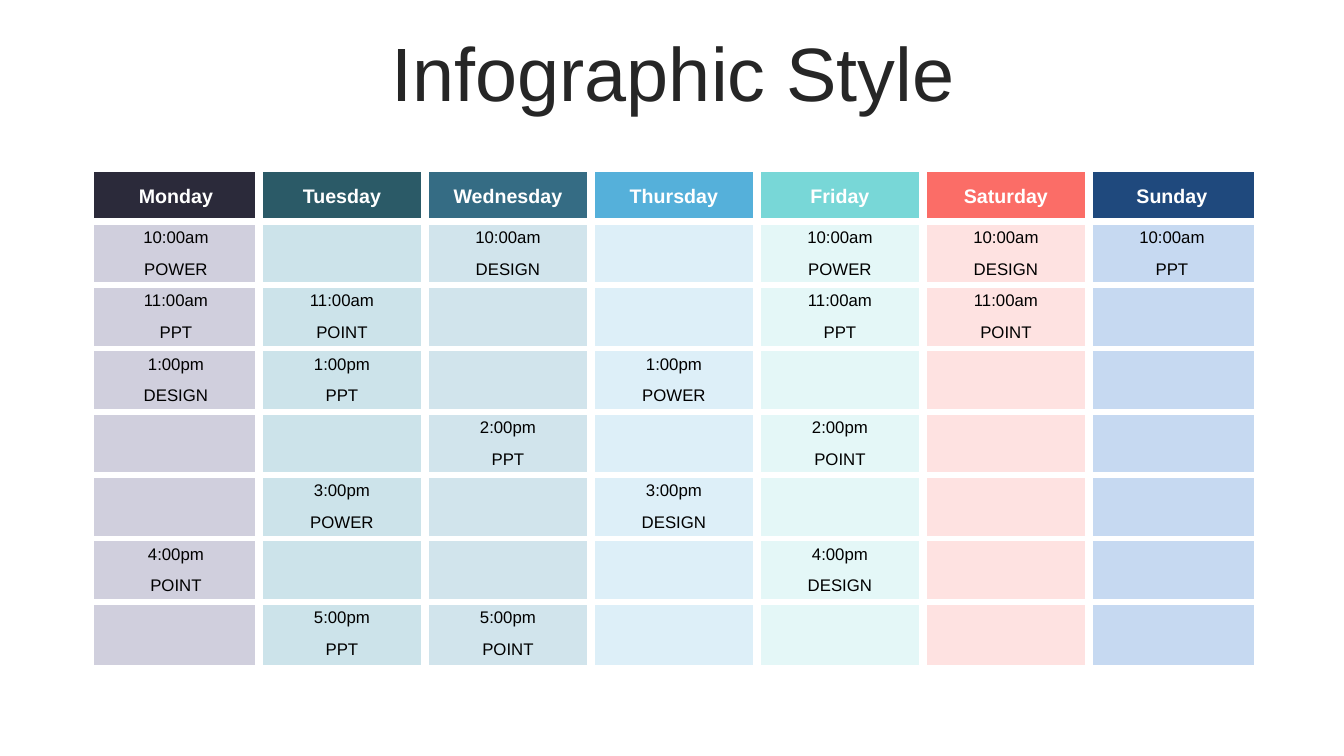
from lxml.etree import SubElement
from pptx import Presentation
from pptx.dml.color import RGBColor as RGB
from pptx.enum.text import MSO_ANCHOR as ANCHOR, MSO_AUTO_SIZE as AUTO_SIZE, PP_ALIGN as ALIGN
from pptx.oxml.ns import qn
from pptx.util import Pt

# Content: each day with its header colour, cell colour and sessions
TITLE = "Infographic Style"
HOURS = ["10:00am", "11:00am", "1:00pm", "2:00pm", "3:00pm", "4:00pm", "5:00pm"]
DAYS = [
    ("Monday", "2B2A3A", "D0CFDD",
     {"10:00am": "POWER", "11:00am": "PPT", "1:00pm": "DESIGN", "4:00pm": "POINT"}),
    ("Tuesday", "2B5A67", "CCE3EA",
     {"11:00am": "POINT", "1:00pm": "PPT", "3:00pm": "POWER", "5:00pm": "PPT"}),
    ("Wednesday", "356C84", "D1E4EC",
     {"10:00am": "DESIGN", "2:00pm": "PPT", "5:00pm": "POINT"}),
    ("Thursday", "55B0DA", "DDEFF8",
     {"1:00pm": "POWER", "3:00pm": "DESIGN"}),
    ("Friday", "78D7D7", "E4F7F7",
     {"10:00am": "POWER", "11:00am": "PPT", "2:00pm": "POINT", "4:00pm": "DESIGN"}),
    ("Saturday", "FB6D67", "FEE2E1",
     {"10:00am": "DESIGN", "11:00am": "POINT"}),
    ("Sunday", "1F497D", "C6D9F1",
     {"10:00am": "PPT"}),
]
COLORS = {"title": "262626", "header": "FFFFFF", "session": "000000", "border": "FFFFFF"}
FONT = "Arial"
FORMATS = {
    "title": {"name": FONT, "size": Pt(54), "bold": False},
    "header": {"name": FONT, "size": Pt(14), "bold": True},
    "session": {"name": FONT, "size": Pt(12), "bold": False},
}
MARGINS = ("margin_left", "margin_right", "margin_top", "margin_bottom")

# Grid: one header row, then two rows (hour, session) for each hour
LEFT, TOP, COLUMN_WIDTH = 66.4, 122.4, 118.6
HEADER_HEIGHT, ROW_HEIGHT = 36, 22.63
LAST_ROW, LAST_COLUMN = 2 * len(HOURS), len(DAYS) - 1
EDGE, WIDE, MEDIUM = 1, 6, 4.5


def write(para, text, style):
    para.alignment = ALIGN.CENTER
    span = para.add_run()
    span.text = text
    for name, value in FORMATS[style].items():
        setattr(span.font, name, value)
    span.font.color.rgb = RGB.from_string(COLORS[style])


def line_above(row):
    """Width of the horizontal line over a row; none inside an hour pair."""
    if row in (0, LAST_ROW + 1):
        return EDGE
    if row == 1:
        return WIDE
    return MEDIUM if row % 2 else 0


def add_borders(cell, row, column):
    widths = {
        "a:lnL": WIDE if column else EDGE,
        "a:lnR": WIDE if column < LAST_COLUMN else EDGE,
        "a:lnT": line_above(row),
        "a:lnB": line_above(row + 1),
    }
    properties = cell._tc.get_or_add_tcPr()
    for tag, width in widths.items():
        line = SubElement(properties, qn(tag), w=str(Pt(width)))
        if width:
            fill = SubElement(line, qn("a:solidFill"))
            SubElement(fill, qn("a:srgbClr"), val=COLORS["border"])
        else:
            SubElement(line, qn("a:noFill"))


def format_cell(cell, row, column, text, style, color):
    for margin in MARGINS:
        setattr(cell, margin, 0)
    cell.vertical_anchor = ANCHOR.MIDDLE
    add_borders(cell, row, column)
    cell.fill.solid()
    cell.fill.fore_color.rgb = RGB.from_string(color)
    if text:
        write(cell.text_frame.paragraphs[0], text, style)


def main():
    deck = Presentation()
    deck.slide_width, deck.slide_height = Pt(960), Pt(540)
    page = deck.slides.add_slide(deck.slide_layouts[5])

    # Title
    title = page.shapes.title
    title.left, title.top, title.width, title.height = Pt(25.2), Pt(26.6), Pt(911.5), Pt(56.9)
    frame = title.text_frame
    frame.word_wrap = True
    frame.auto_size = AUTO_SIZE.NONE
    frame.vertical_anchor = ANCHOR.MIDDLE
    frame.paragraphs[0].line_spacing = 0.9
    write(frame.paragraphs[0], TITLE, "title")

    # Timetable
    table = page.shapes.add_table(
        LAST_ROW + 1, len(DAYS), Pt(LEFT), Pt(TOP), Pt(COLUMN_WIDTH * len(DAYS)),
        Pt(HEADER_HEIGHT + ROW_HEIGHT * LAST_ROW)).table
    for index, row in enumerate(table.rows):
        row.height = Pt(ROW_HEIGHT if index else HEADER_HEIGHT)

    for column, (day, header_color, cell_color, sessions) in enumerate(DAYS):
        table.columns[column].width = Pt(COLUMN_WIDTH)
        format_cell(table.cell(0, column), 0, column, day, "header", header_color)
        for index, hour in enumerate(HOURS):
            session = sessions.get(hour, "")
            pair = (hour if session else "", session)
            for row, text in enumerate(pair, start=1 + 2 * index):
                format_cell(table.cell(row, column), row, column, text, "session", cell_color)

    deck.save("out.pptx")


if __name__ == "__main__":
    main()
